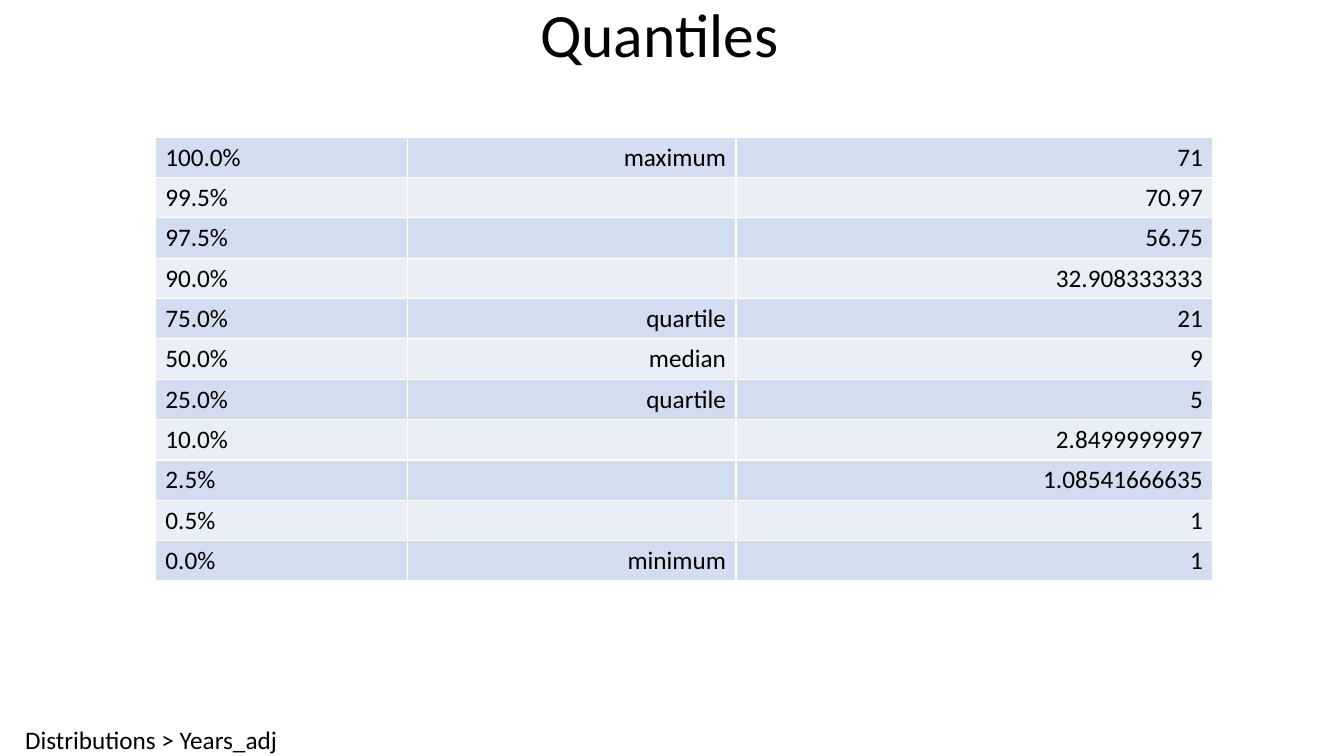
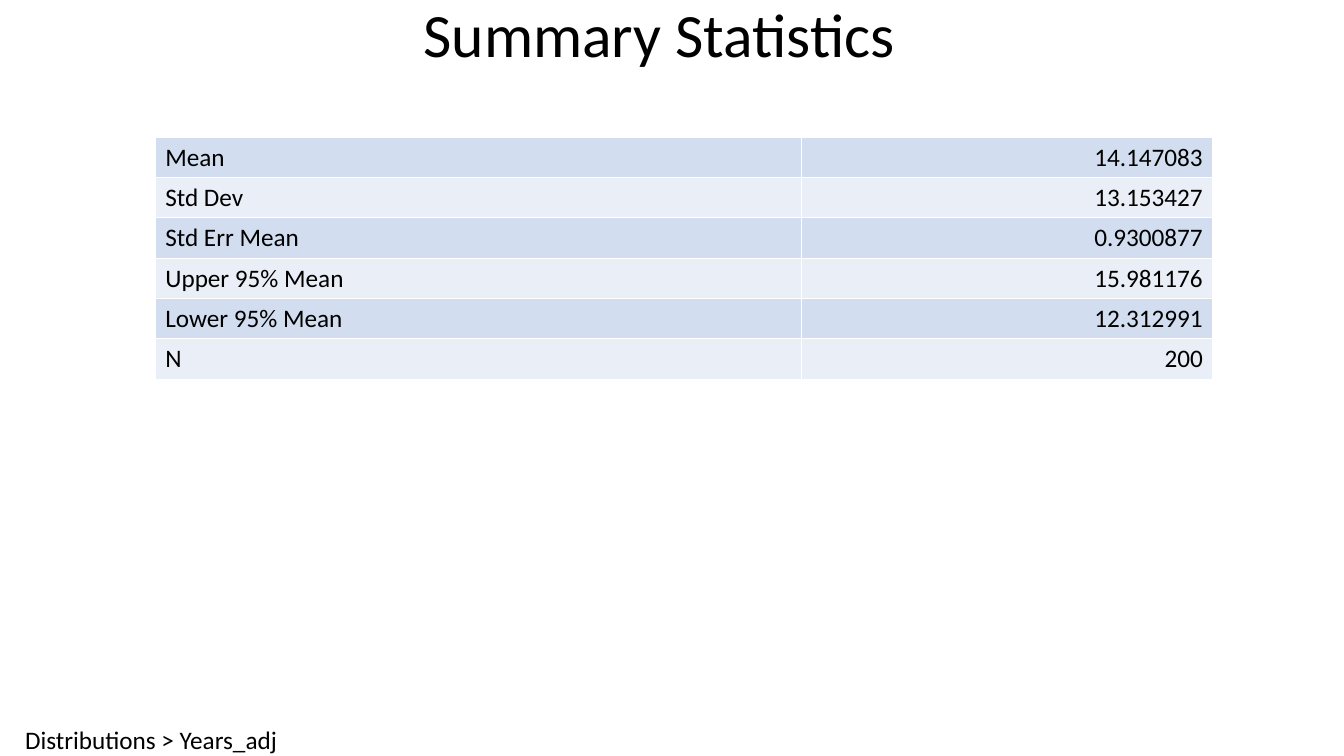
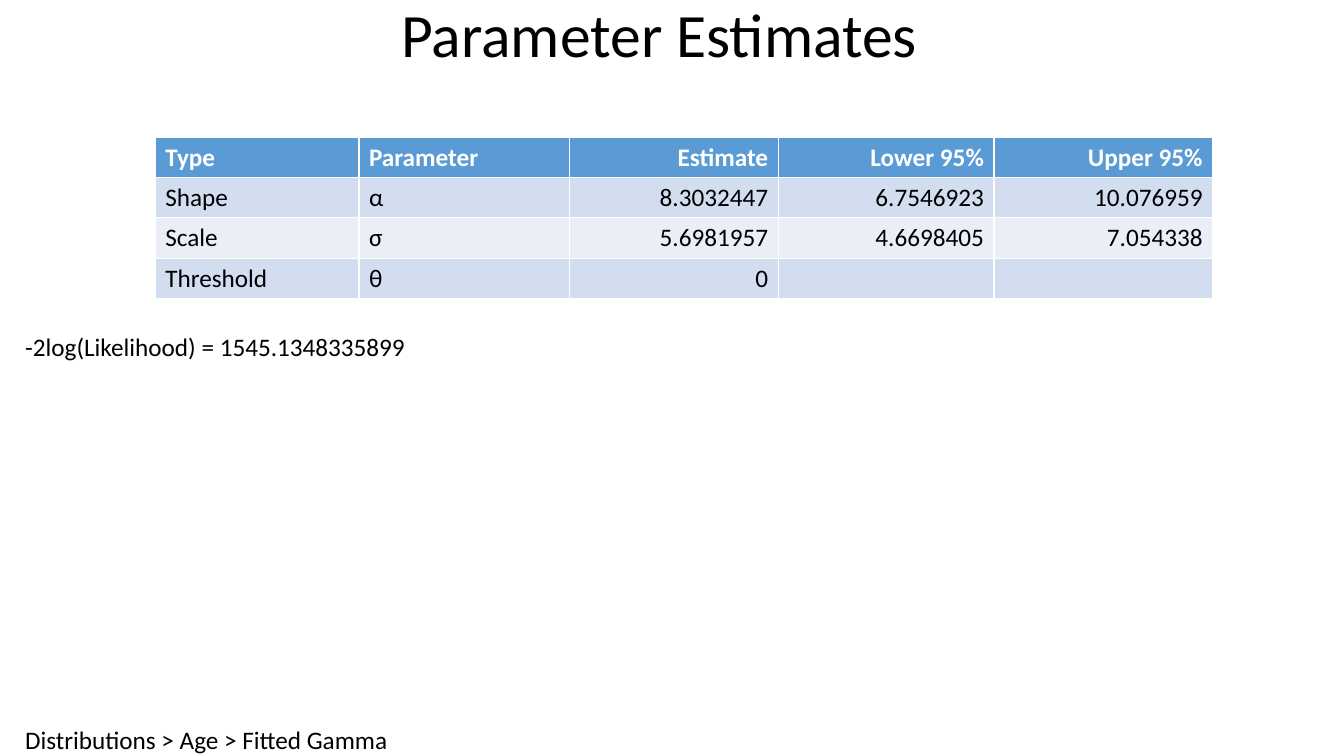
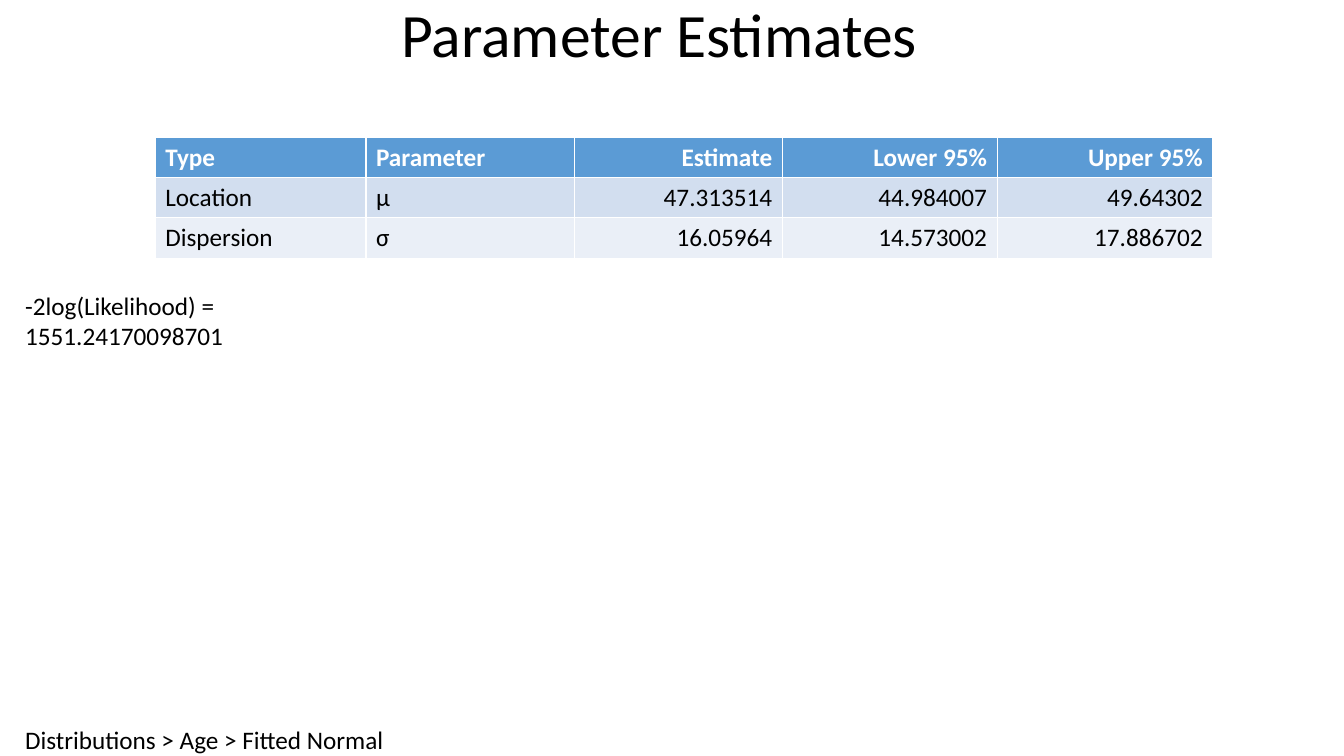
"""Build four slides of distribution statistics tables."""
from pptx import Presentation
from pptx.dml.color import RGBColor
from pptx.enum.text import MSO_ANCHOR, MSO_AUTO_SIZE, PP_ALIGN
from pptx.util import Emu, Pt

BLACK = RGBColor(0x00, 0x00, 0x00)
WHITE = RGBColor(0xFF, 0xFF, 0xFF)
HEADER_BLUE = RGBColor(0x5B, 0x9B, 0xD5)
BANDS = (RGBColor(0xD2, 0xDE, 0xEF), RGBColor(0xEA, 0xEF, 0xF7))
FONT = "Calibri"
ROW_HEIGHT = 40

QUANTILES = [
    ("100.0%", "maximum", "71"),
    ("99.5%", "", "70.97"),
    ("97.5%", "", "56.75"),
    ("90.0%", "", "32.908333333"),
    ("75.0%", "quartile", "21"),
    ("50.0%", "median", "9"),
    ("25.0%", "quartile", "5"),
    ("10.0%", "", "2.8499999997"),
    ("2.5%", "", "1.08541666635"),
    ("0.5%", "", "1"),
    ("0.0%", "minimum", "1"),
]
SUMMARY = [
    ("Mean", "14.147083"),
    ("Std Dev", "13.153427"),
    ("Std Err Mean", "0.9300877"),
    ("Upper 95% Mean", "15.981176"),
    ("Lower 95% Mean", "12.312991"),
    ("N", "200"),
]
ESTIMATE_HEADER = ("Type", "Parameter", "Estimate", "Lower 95%", "Upper 95%")
GAMMA = [
    ESTIMATE_HEADER,
    ("Shape", "α", "8.3032447", "6.7546923", "10.076959"),
    ("Scale", "σ", "5.6981957", "4.6698405", "7.054338"),
    ("Threshold", "θ", "0", "", ""),
]
NORMAL = [
    ESTIMATE_HEADER,
    ("Location", "μ", "47.313514", "44.984007", "49.64302"),
    ("Dispersion", "σ", "16.05964", "14.573002", "17.886702"),
]


def px(n):
    return Emu(n * 9144)


def style_text(p, size, color=BLACK, bold=False):
    for r in p.runs:
        r.font.name = FONT
        r.font.size = Pt(size)
        r.font.color.rgb = color
        r.font.bold = bold


def add_text(s, text, top, width):
    tf = s.shapes.add_textbox(px(25), px(top), px(width), px(31)).text_frame
    tf.margin_left = tf.margin_top = tf.margin_right = tf.margin_bottom = 0
    tf.word_wrap = True
    tf.text = text
    style_text(tf.paragraphs[0], 18)


def add_titled_slide(prs, title, footer):
    s = prs.slides.add_slide(prs.slide_layouts[5])
    sp = s.shapes.title
    sp.left, sp.top, sp.width, sp.height = px(0), px(0), px(1308), px(75)
    tf = sp.text_frame
    tf.text = title
    tf.auto_size = MSO_AUTO_SIZE.NONE
    tf.vertical_anchor = MSO_ANCHOR.MIDDLE
    p = tf.paragraphs[0]
    p.alignment = PP_ALIGN.CENTER
    p.line_spacing = 0.9
    style_text(p, 44)
    add_text(s, footer, 719, 400)
    return s


def add_stats_table(s, rows, widths, labels, header=False):
    frame = s.shapes.add_table(len(rows), len(widths), px(154), px(136),
                               px(sum(widths)), px(ROW_HEIGHT * len(rows)))
    table = frame.table
    table.first_row = header
    for column, width in zip(table.columns, widths):
        column.width = px(width)
    for i, row in enumerate(rows):
        is_header = header and i == 0
        fill = HEADER_BLUE if is_header else BANDS[(i - header) % 2]
        for j, text in enumerate(row):
            cell = table.cell(i, j)
            cell.fill.solid()
            cell.fill.fore_color.rgb = fill
            cell.text = text
            p = cell.text_frame.paragraphs[0]
            p.alignment = PP_ALIGN.LEFT if j < labels else PP_ALIGN.RIGHT
            style_text(p, 18, WHITE if is_header else BLACK, is_header)


def main():
    prs = Presentation()
    prs.slide_width, prs.slide_height = px(1333), px(750)

    s = add_titled_slide(prs, "Quantiles", "Distributions > Years_adj")
    add_stats_table(s, QUANTILES, (250, 326, 473), 1)

    s = add_titled_slide(prs, "Summary Statistics", "Distributions > Years_adj")
    add_stats_table(s, SUMMARY, (641, 408), 1)

    s = add_titled_slide(prs, "Parameter Estimates", "Distributions > Age > Fitted Gamma")
    add_stats_table(s, GAMMA, (202, 209, 207, 214, 217), 2, header=True)
    add_text(s, "-2log(Likelihood) = 1545.1348335899", 329, 400)

    s = add_titled_slide(prs, "Parameter Estimates", "Distributions > Age > Fitted Normal")
    add_stats_table(s, NORMAL, (209, 207, 206, 213, 214), 2, header=True)
    add_text(s, "-2log(Likelihood) = 1551.24170098701", 288, 250)

    prs.save("out.pptx")


if __name__ == "__main__":
    main()
